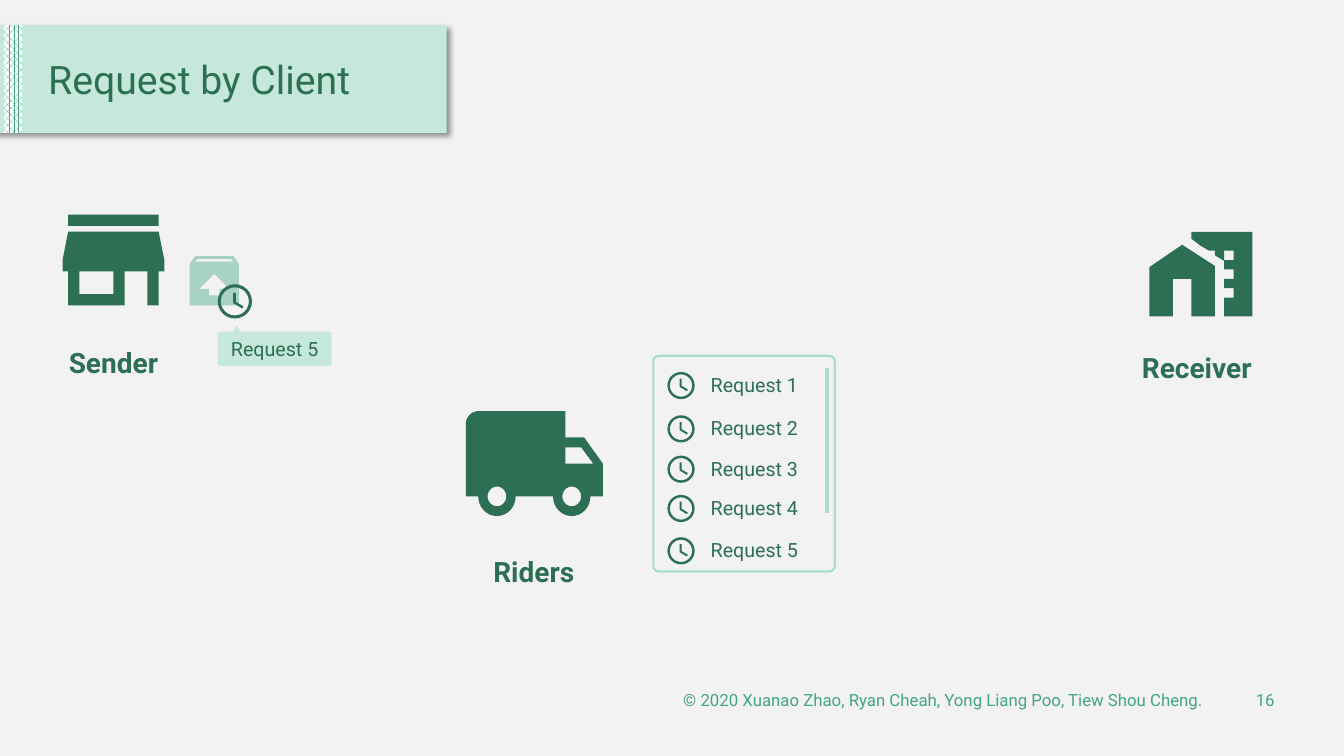
from math import cos, radians, sin

from lxml import etree
from pptx import Presentation
from pptx.dml.color import RGBColor
from pptx.enum.dml import MSO_PATTERN
from pptx.enum.shapes import MSO_CONNECTOR, MSO_SHAPE
from pptx.enum.text import MSO_ANCHOR, PP_ALIGN
from pptx.oxml.ns import qn
from pptx.util import Inches, Pt

RECT, ROUNDED, DONUT = MSO_SHAPE.RECTANGLE, MSO_SHAPE.ROUNDED_RECTANGLE, MSO_SHAPE.DONUT
STRAIGHT = MSO_CONNECTOR.STRAIGHT
DOTS = MSO_PATTERN.PERCENT_70
TOP, MIDDLE, BOTTOM = MSO_ANCHOR.TOP, MSO_ANCHOR.MIDDLE, MSO_ANCHOR.BOTTOM
LEFT, CENTER, RIGHT = PP_ALIGN.LEFT, PP_ALIGN.CENTER, PP_ALIGN.RIGHT

# The page is a grid of 1333 columns by 750 rows; boxes are left, top, width, height.
CELL = Inches(0.01)
COLUMNS, ROWS = 1333, 750
DARK, GREEN, SOFT, MINT, PAPER = "2D6F55", "43A680", "AADDC9", "C6E8DB", "F2F2F2"


def color(value):
    return RGBColor.from_string(value)


def cells(*lengths):
    return [round(length * CELL) for length in lengths]


def inside(box, left, top, width, height):
    """Turn a box relative to another box's corner into a page box."""
    return box[0] + left, box[1] + top, width, height


def paint(shape, fill):
    shape.shadow.inherit = False
    shape.line.fill.background()
    shape.fill.solid()
    shape.fill.fore_color.rgb = color(fill)
    return shape


def write(shape, text, size, fill=DARK, align=LEFT, anchor=TOP, bold=False):
    frame = shape.text_frame
    frame.word_wrap = True
    frame.vertical_anchor = anchor
    para = frame.paragraphs[0]
    para.text = text
    para.alignment = align
    para.font.name = "Roboto"
    para.font.size = Pt(size)
    para.font.bold = bold
    para.font.color.rgb = color(fill)
    return para


def label(shapes, box, text, size, **style):
    return write(shapes.add_textbox(*cells(*box)), text, size, **style)


def arc(x, y, radius, start, end, steps=16):
    """Points from one angle to another, clockwise when the angle grows."""
    angles = [radians(start + (end - start) * step / steps) for step in range(steps + 1)]
    return [(x + radius * cos(angle), y + radius * sin(angle)) for angle in angles]


def outline(shapes, box, grid, contours, fill=DARK):
    """Draw closed contours, given on a grid that is stretched over the box."""
    left, top, width, height = box
    placed = [
        [cells(left + x * width / grid[0], top + y * height / grid[1]) for x, y in contour]
        for contour in contours
    ]
    builder = shapes.build_freeform(*placed[0][0], scale=1.0)
    builder.add_line_segments(placed[0][1:], close=True)
    for contour in placed[1:]:
        builder.move_to(*contour[0])
        builder.add_line_segments(contour[1:], close=True)
    return paint(builder.convert_to_shape(), fill)


def clock(shapes, box):
    ring = paint(shapes.add_shape(DONUT, *cells(*box)), DARK)
    ring.adjustments[0] = 0.09
    hands = [(10.5, 5), (9, 5), (9, 11), (14.25, 14.15), (15, 12.92), (10.5, 10.25)]
    outline(shapes, box, (20, 20), [hands])


def header(page, box):
    band = paint(page.shapes.add_shape(RECT, *cells(*box)), MINT)
    effects = band._element.spPr.find(qn("a:effectLst"))
    shadow = etree.SubElement(effects, qn("a:outerShdw"), blurRad=str(Pt(4)), dist=str(Pt(3)),
                              dir="2700000", algn="tl", rotWithShape="0")
    black = etree.SubElement(shadow, qn("a:srgbClr"), val="000000")
    etree.SubElement(black, qn("a:alpha"), val="40000")
    stripe = paint(page.shapes.add_shape(RECT, *cells(*inside(box, 25, 0, 18, box[3]))), GREEN)
    stripe.fill.patterned()
    stripe.fill.pattern = DOTS
    stripe.fill.fore_color.rgb = color(GREEN)
    stripe.fill.back_color.rgb = color("FFFFFF")
    title = label(page.shapes, inside(box, 59, 16, 396, 81), "Request by Client", 28, anchor=MIDDLE)
    title.line_spacing = 0.9
    title.space_before = Pt(10)


def sender(page, box):
    shapes = page.shapes.add_group_shape().shapes
    roof = [(1, 0), (17, 0), (17, 2), (1, 2)]
    walls = [(18, 10), (18, 8), (17, 3), (1, 3), (0, 8), (0, 10), (1, 10), (1, 16),
             (11, 16), (11, 10), (15, 10), (15, 16), (17, 16), (17, 10)]
    window = [(3, 10), (9, 10), (9, 14), (3, 14)]
    outline(shapes, inside(box, 17, 0, 101, 90), (18, 16), [roof, walls, window])
    label(shapes, inside(box, 0, 125, 135, 44), "Sender", 20, align=CENTER, bold=True)


def parcel(page, box):
    """Waiting parcel with its clock and request callout."""
    carton = [(16, 0), (2, 0), (0, 3), (0, 18), (18, 18), (18, 3)]
    arrow = [(11, 12), (11, 14.3), (7, 14.3), (7, 12), (3.5, 12), (9, 6.5), (14.5, 12)]
    lid = [(2, 2), (3, 1), (15, 1), (16, 2)]
    icon = outline(page.shapes, inside(box, 0, 0, 49, 49), (18, 18), [carton, arrow, lid], GREEN)
    tint = icon._element.spPr.find(qn("a:solidFill"))[0]
    etree.SubElement(tint, qn("a:alpha"), val="42000")
    clock(page.shapes.add_group_shape().shapes, inside(box, 28, 28, 34, 34))
    bubble = [(19, 0), (23, 6), *arc(110, 9, 3, -90, 0), *arc(110, 37, 3, 0, 90),
              *arc(3, 37, 3, 90, 180), *arc(3, 9, 3, 180, 270), (15, 6)]
    callout = outline(page.shapes, inside(box, 28, 69, 113, 40), (113, 40), [bubble], MINT)
    write(callout, "Request 5", 14, align=CENTER, anchor=BOTTOM)


def receiver(page, box):
    shapes = page.shapes.add_group_shape().shapes
    house = [(7, 2.75), (0, 7.5), (0, 18), (5, 18), (5, 10), (9, 10), (9, 18), (14, 18), (14, 7.25)]
    tower = [(9, 0), (9, 1.5), (11, 3), (12.75, 4), (14, 4), (14, 5), (16, 6.2), (16, 8),
             (18, 8), (18, 10), (16, 10), (16, 12), (18, 12), (18, 14), (16, 14), (16, 18),
             (22, 18), (22, 0)]
    window = [(16, 4), (18, 4), (18, 6), (16, 6)]
    for contours in ([house], [tower, window]):
        outline(shapes, inside(box, 22, 0, 102, 84), (22, 18), contours)
    label(shapes, inside(box, 0, 113, 138, 32), "Receiver", 20, align=CENTER, bold=True)


def riders(page, box):
    shapes = page.shapes.add_group_shape().shapes
    wheels = (5, 17)
    rear, front = [arc(x, 13, 3, 180, 0) for x in wheels]
    body = [(19, 4), (16, 4), (16, 0), *arc(2, 2, 2, 270, 180), (0, 13), *rear, *front,
            (22, 13), (22, 8)]
    window = [(18.5, 5.5), (20.46, 8), (16, 8), (16, 5.5)]
    hubs = [arc(x, 13, 1.5, 0, 360, 32) for x in wheels]
    outline(shapes, inside(box, 0, 0, 136, 104), (22, 16), [body, window, *hubs])
    label(shapes, inside(box, 11, 137, 113, 37), "Riders", 20, align=CENTER, bold=True)


def request_list(page, box):
    panel = paint(page.shapes.add_shape(ROUNDED, *cells(*box)), PAPER)
    panel.adjustments[0] = 0.03
    panel.fill.background()
    panel.line.color.rgb = color(SOFT)
    panel.line.width = Pt(1.5)
    for number, top in enumerate((16, 59, 99, 138, 180), start=1):
        row = page.shapes.add_group_shape().shapes
        clock(row, inside(box, 14, top, 27, 27))
        label(row, inside(box, 47, top - 4, 125, 34), f"Request {number}", 14)
    x, y = box[0] + 172, box[1] + 12
    scrollbar = page.shapes.add_connector(STRAIGHT, *cells(x, y, x, y + 144))
    scrollbar.line.color.rgb = color(SOFT)
    scrollbar.line.width = Pt(3)
    etree.SubElement(scrollbar._element.spPr, qn("a:effectLst"))


def footer(page, box):
    style = {"fill": GREEN, "align": RIGHT, "anchor": MIDDLE}
    credit = "© 2020 Xuanao Zhao, Ryan Cheah, Yong Liang Poo, Tiew Shou Cheng."
    label(page.shapes, inside(box, 0, 0, 659, box[3]), credit, 12, **style)
    label(page.shapes, inside(box, 671, 0, 59, box[3]), "16", 12, **style)


def main():
    deck = Presentation()
    deck.slide_width, deck.slide_height = cells(COLUMNS, ROWS)
    page = deck.slides.add_slide(deck.slide_layouts[6])
    page.background.fill.solid()
    page.background.fill.fore_color.rgb = color(PAPER)
    header(page, (-21, 25, 464, 107))
    sender(page, (45, 213, 135, 169))
    parcel(page, (188, 254, 141, 109))
    receiver(page, (1118, 230, 138, 145))
    riders(page, (462, 408, 136, 174))
    request_list(page, (648, 353, 180, 214))
    footer(page, (544, 674, 730, 40))
    deck.save("out.pptx")


if __name__ == "__main__":
    main()
